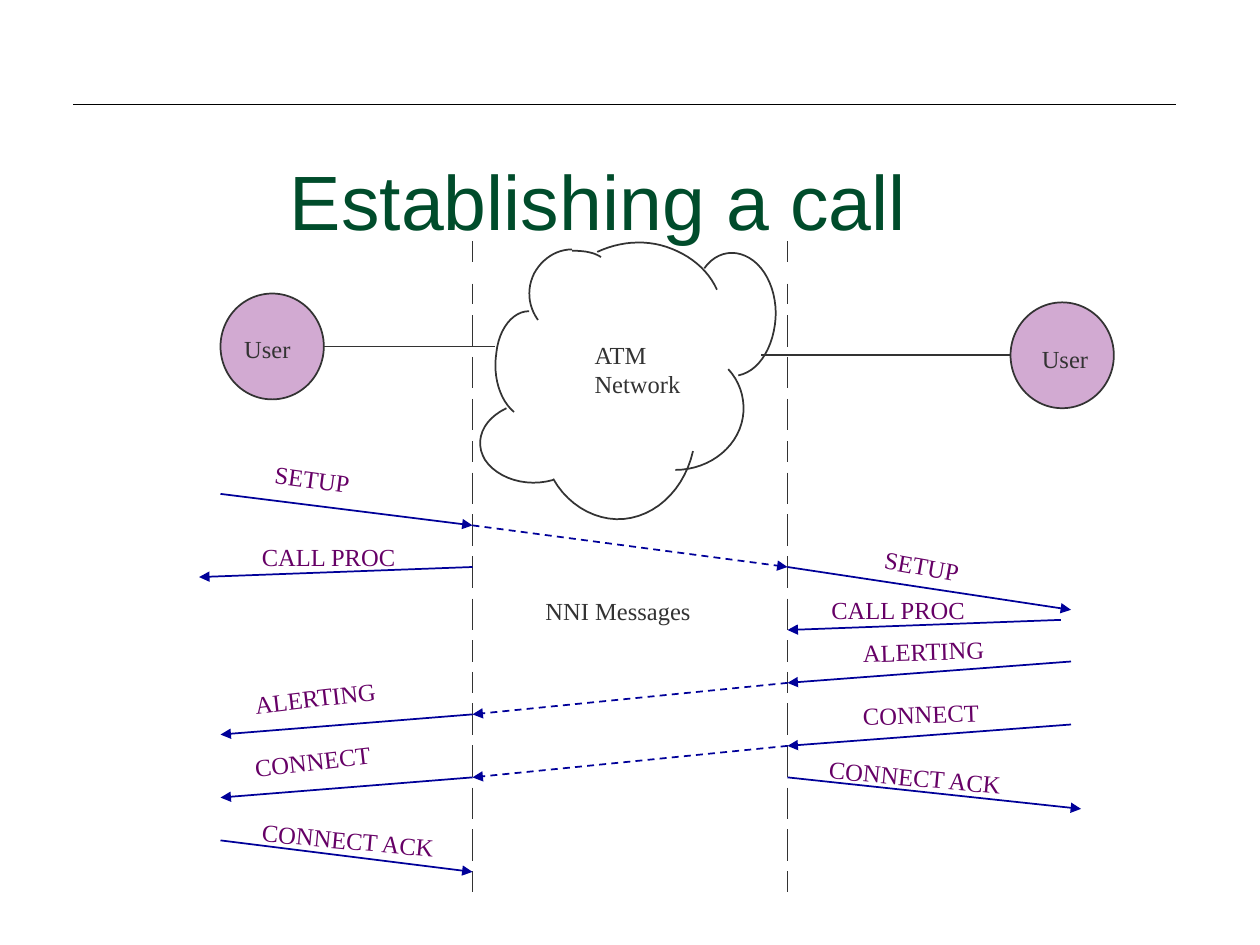
from lxml import etree
from pptx import Presentation
from pptx.dml.color import RGBColor
from pptx.enum.dml import MSO_LINE
from pptx.enum.shapes import MSO_CONNECTOR, MSO_SHAPE
from pptx.enum.text import MSO_ANCHOR, PP_ALIGN
from pptx.oxml.ns import qn
from pptx.util import Inches, Pt

STRAIGHT = MSO_CONNECTOR.STRAIGHT
OVAL = MSO_SHAPE.OVAL
DASH = MSO_LINE.DASH
TOP, BOTTOM = MSO_ANCHOR.TOP, MSO_ANCHOR.BOTTOM
LEFT, CENTER = PP_ALIGN.LEFT, PP_ALIGN.CENTER

BLACK = RGBColor(0x00, 0x00, 0x00)
GREEN = RGBColor(0x00, 0x4C, 0x2B)
GRAY = RGBColor(0x33, 0x33, 0x33)
LILAC = RGBColor(0xD2, 0xAA, 0xD2)
NAVY = RGBColor(0x00, 0x00, 0x99)
PURPLE = RGBColor(0x66, 0x00, 0x66)

CALLER, NEAR_EDGE, FAR_EDGE, CALLEE = 1.75, 3.75, 6.25, 8.5
DASH_TOP = 23
DASH_LENGTHS = [2, 2, 3, 3, 3, 2, 3, 3, 3, 3, 2, 2, 3, 3, 3, 3, 2]
CURVE_STEPS = 12

CLOUD_ARCS = [
    [(4.54, 1.98), (4.41, 1.98), (4.3, 2.06), (4.24, 2.17),
     (4.18, 2.29), (4.19, 2.43), (4.27, 2.54)],
    [(4.2, 2.47), (4.07, 2.47), (3.96, 2.61), (3.94, 2.8),
     (3.91, 2.99), (3.97, 3.18), (4.08, 3.27)],
    [(4.54, 1.99), (4.63, 1.99), (4.71, 2), (4.77, 2.04)],
    [(4.74, 2), (4.91, 1.92), (5.11, 1.9), (5.29, 1.96),
     (5.47, 2.02), (5.62, 2.14), (5.69, 2.3)],
    [(4.02, 3.24), (3.83, 3.33), (3.76, 3.5), (3.85, 3.65),
     (3.95, 3.8), (4.18, 3.87), (4.39, 3.81)],
    [(4.39, 3.8), (4.52, 4.03), (4.77, 4.16), (5.01, 4.11),
     (5.25, 4.06), (5.44, 3.85), (5.5, 3.58)],
    [(5.36, 3.73), (5.57, 3.73), (5.76, 3.62), (5.85, 3.45),
     (5.94, 3.28), (5.91, 3.07), (5.78, 2.93)],
    [(5.59, 2.13), (5.69, 1.99), (5.85, 1.97), (5.98, 2.07),
     (6.11, 2.17), (6.18, 2.38), (6.15, 2.58),
     (6.12, 2.79), (6.01, 2.95), (5.86, 2.98)],
]

USERS = [(1.75, 2.33, 1.84, 2.6), (8.02, 2.4, 8.17, 2.68)]

USER_MESSAGES = [
    (CALLER, 3.92, NEAR_EDGE, 4.17),
    (FAR_EDGE, 4.5, CALLEE, 4.84),
    (8.42, 4.92, FAR_EDGE, 5),
    (CALLEE, 5.25, FAR_EDGE, 5.42),
    (FAR_EDGE, 6.17, 8.58, 6.42),
    (NEAR_EDGE, 5.67, CALLER, 5.83),
    (NEAR_EDGE, 4.5, 1.58, 4.58),
    (CALLEE, 5.75, FAR_EDGE, 5.92),
    (NEAR_EDGE, 6.17, CALLER, 6.33),
    (CALLER, 6.67, NEAR_EDGE, 6.92),
]
NETWORK_MESSAGES = [
    (NEAR_EDGE, 4.17, FAR_EDGE, 4.5),
    (FAR_EDGE, 5.42, NEAR_EDGE, 5.67),
    (FAR_EDGE, 5.92, NEAR_EDGE, 6.17),
]
MESSAGE_LABELS = [
    ("SETUP", 2.08, 3.67, 1.35, 7.6, True),
    ("ALERTING", 1.92, 5.33, 1.83, -6.7, True),
    ("SETUP", 6.92, 4.33, 0.85, 10.2, False),
    ("CALL PROC", 6.5, 4.67, 1.26, 0, False),
    ("ALERTING", 6.75, 5, 1.17, -1.8, False),
    ("CONNECT ACK", 6.48, 6, 1.58, 5.2, False),
    ("CALL PROC", 1.98, 4.25, 1.26, 0, False),
    ("CONNECT", 6.75, 5.5, 1.12, -1.9, False),
    ("CONNECT", 1.92, 5.83, 1.83, -6.7, True),
    ("CONNECT ACK", 1.98, 6.5, 1.58, 5.2, False),
]


def add_line(page, x1, y1, x2, y2, color=GRAY, width=1, arrow=False, dash=None):
    """Draw a straight line, with an optional arrowhead at its end."""
    line = page.shapes.add_connector(
        STRAIGHT, Inches(x1), Inches(y1), Inches(x2), Inches(y2))
    line.line.color.rgb = color
    line.line.width = Pt(width)
    if dash:
        line.line.dash_style = dash
    properties = line._element.spPr
    if arrow:
        outline = properties.find(qn("a:ln"))
        etree.SubElement(outline, qn("a:tailEnd"), type="triangle")
    etree.SubElement(properties, qn("a:effectLst"))


def add_text(page, text, left, top, width, height=0.34, color=GRAY, size=14,
             font="Times New Roman", align=LEFT, anchor=TOP, rotation=0, wrap=False):
    """Place text with one paragraph for each line."""
    box = page.shapes.add_textbox(
        Inches(left), Inches(top), Inches(width), Inches(height))
    box.rotation = rotation
    frame = box.text_frame
    frame.word_wrap = wrap
    frame.vertical_anchor = anchor
    frame.text = text
    for para in frame.paragraphs:
        para.alignment = align
        para.font.name = font
        para.font.size = Pt(size)
        para.font.color.rgb = color


def curve_points(controls):
    """Return points along a chain of cubic curves."""
    points = [controls[0]]
    for first in range(0, len(controls) - 1, 3):
        a, b, c, d = controls[first:first + 4]
        for step in range(1, CURVE_STEPS + 1):
            t = step / CURVE_STEPS
            u = 1 - t
            weights = (u ** 3, 3 * u * u * t, 3 * u * t * t, t ** 3)
            points.append(tuple(
                sum(weight * value for weight, value in zip(weights, axis))
                for axis in zip(a, b, c, d)))
    return points


def add_arc(page, controls):
    """Draw one open arc of the cloud."""
    points = [(Inches(x), Inches(y)) for x, y in curve_points(controls)]
    builder = page.shapes.build_freeform(*points[0])
    builder.add_line_segments(points[1:], close=False)
    arc = builder.convert_to_shape()
    arc.shadow.inherit = False
    arc.fill.background()
    arc.line.color.rgb = GRAY
    arc.line.width = Pt(1)


def add_user(page, left, top):
    """Draw the circle of a user."""
    circle = page.shapes.add_shape(
        OVAL, Inches(left), Inches(top), Inches(0.82), Inches(0.84))
    circle.shadow.inherit = False
    circle.fill.solid()
    circle.fill.fore_color.rgb = LILAC
    circle.line.color.rgb = GRAY
    circle.line.width = Pt(1)


def add_boundary(page, x):
    """Draw a vertical boundary of dashes on a grid of twelfths of an inch."""
    start = DASH_TOP
    for index, length in enumerate(DASH_LENGTHS):
        add_line(page, x, start / 12, x, (start + length) / 12)
        start += length + (2 if index == 0 else 1)


def main():
    """Build the call setup slide."""
    deck = Presentation()
    deck.slide_width, deck.slide_height = Inches(10), Inches(7.5)
    page = deck.slides.add_slide(deck.slide_layouts[6])

    add_line(page, 0.58, 0.83, 9.33, 0.83, color=BLACK, width=0.75)
    add_text(page, "Establishing a call", 0.5, 1.33, 8.5, 0.67, color=GREEN,
             size=44, font="Arial", align=CENTER, anchor=BOTTOM, wrap=True)

    for controls in CLOUD_ARCS:
        add_arc(page, controls)
    for left, top, text_left, text_top in USERS:
        add_user(page, left, top)
        add_text(page, "User", text_left, text_top, 0.57)
    add_line(page, 2.57, 2.75, 3.93, 2.75)
    add_line(page, 8.02, 2.82, 6.04, 2.82)
    for x in (NEAR_EDGE, FAR_EDGE):
        add_boundary(page, x)
    add_text(page, "ATM\nNetwork", 4.62, 2.65, 0.88, 0.57)
    add_text(page, "NNI Messages", 4.23, 4.68, 1.35)

    for ends in USER_MESSAGES:
        add_line(page, *ends, color=NAVY, arrow=True)
    for ends in NETWORK_MESSAGES:
        add_line(page, *ends, color=NAVY, arrow=True, dash=DASH)
    for text, left, top, width, rotation, wrap in MESSAGE_LABELS:
        add_text(page, text, left, top, width, color=PURPLE,
                 rotation=rotation, wrap=wrap)

    deck.save("out.pptx")


if __name__ == "__main__":
    main()
